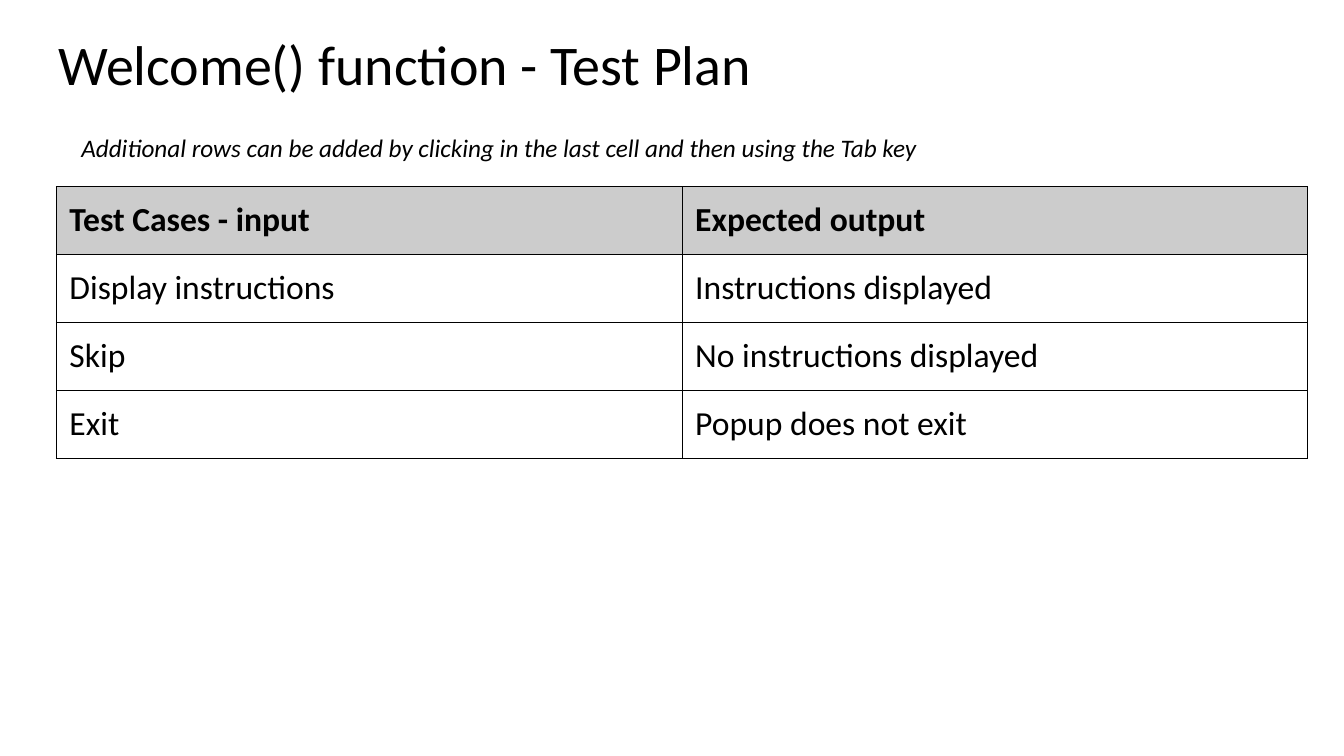
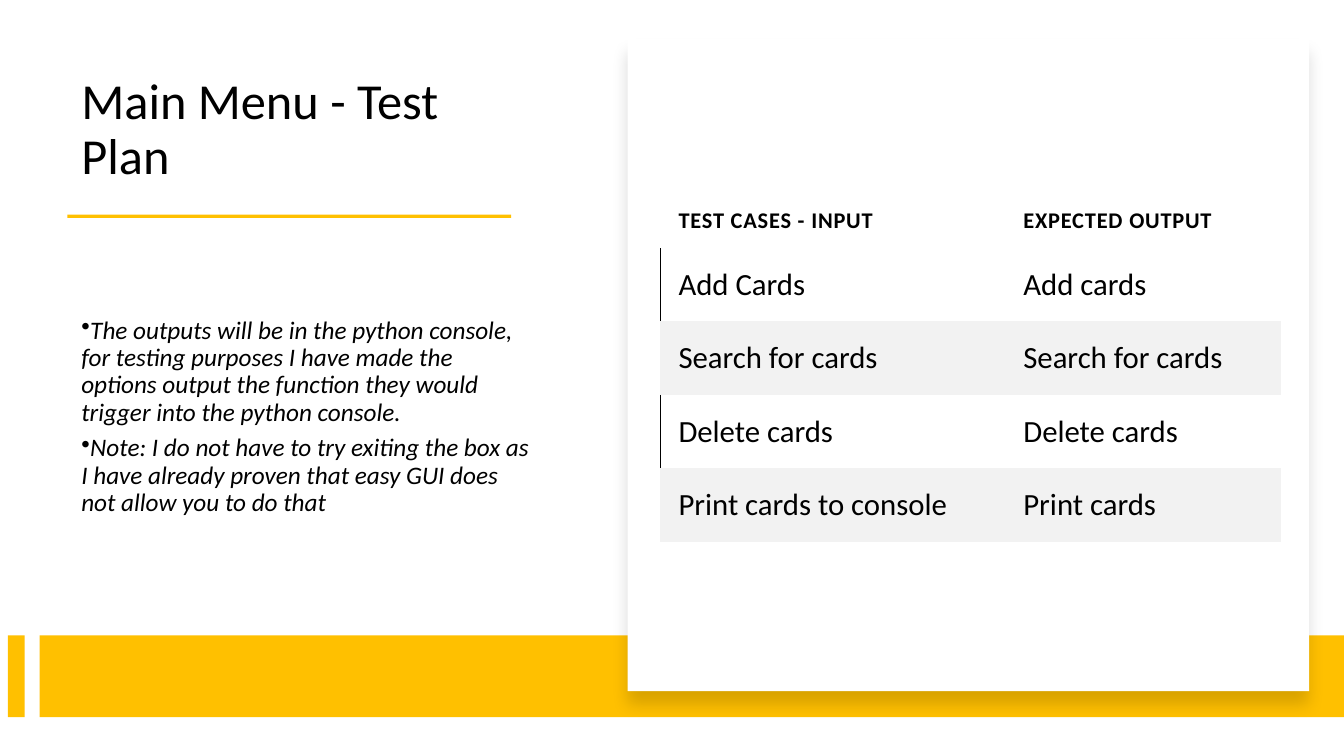
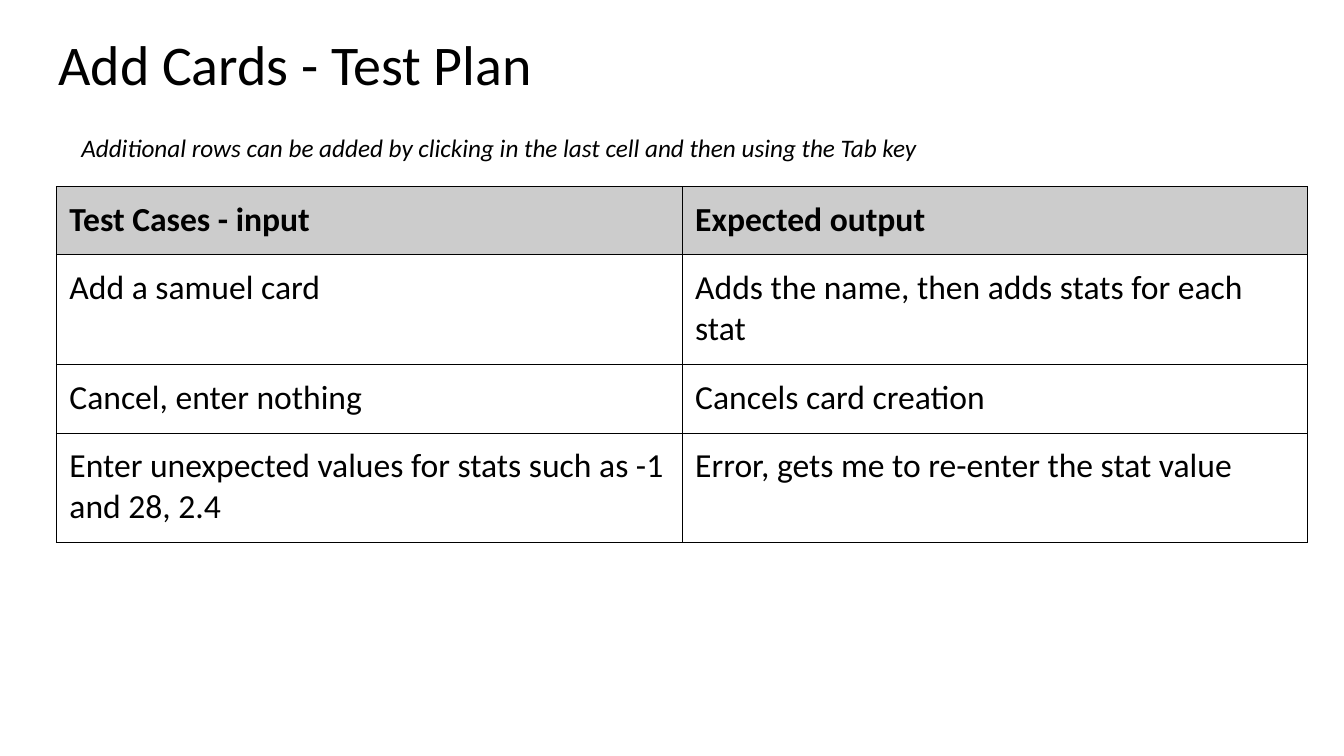
from dataclasses import dataclass

from lxml import etree
from pptx import Presentation
from pptx.dml.color import RGBColor
from pptx.enum.shapes import MSO_SHAPE
from pptx.enum.text import MSO_ANCHOR, MSO_AUTO_SIZE, PP_ALIGN
from pptx.oxml.ns import qn
from pptx.util import Cm, Pt

RECTANGLE = MSO_SHAPE.RECTANGLE
TOP, MIDDLE, BOTTOM = MSO_ANCHOR.TOP, MSO_ANCHOR.MIDDLE, MSO_ANCHOR.BOTTOM
LEFT = PP_ALIGN.LEFT
NO_AUTOFIT = MSO_AUTO_SIZE.NONE
TITLE_ONLY = 5


@dataclass(frozen=True)
class Theme:
    font: str = "Calibri"
    ink: str = "000000"
    paper: str = "FFFFFF"
    accent: str = "FFC000"
    header: str = "CCCCCC"
    stripe: str = "F2F2F2"
    note_size: int = 18


@dataclass(frozen=True)
class PlanStyle:
    """Places and formats of one kind of test plan slide; lengths in cm."""
    title_box: tuple
    title_size: int
    title_inset: tuple
    title_anchor: int
    note_box: tuple
    note_anchor: int
    note_format: dict
    table_corner: tuple
    columns: tuple
    header_size: int
    body_size: int
    header_spacing: float
    header_anchor: int
    cell_side: float
    body_top: float


THEME = Theme()
CELL_INSET = 0.33

GRID = PlanStyle(
    title_box=(1.14, 0.61, 31.55, 2.13), title_size=40,
    title_inset=(0.33, 0.33), title_anchor=TOP,
    note_box=(1.8, 3.2, 27.8, 1.02), note_anchor=TOP, note_format={},
    table_corner=(1.42, 4.7), columns=(15.77, 15.77),
    header_size=24, body_size=24, header_spacing=0, header_anchor=TOP,
    cell_side=0.33, body_top=0.33)
PANEL = PlanStyle(
    title_box=(1.8, 1.47, 11.85, 3.33), title_size=36,
    title_inset=(0.25, 0.13), title_anchor=BOTTOM,
    note_box=(1.8, 5.64, 11.85, 9.75), note_anchor=MIDDLE,
    note_format={"line_spacing": 0.9, "space_after": 6, "bullet": "•"},
    table_corner=(16.64, 4.75), columns=(8.69, 6.95),
    header_size=16, body_size=22, header_spacing=0.6, header_anchor=BOTTOM,
    cell_side=0.46, body_top=0.46)

ADD_ROWS_NOTE = [
    "Additional rows can be added by clicking in the last cell and then using the Tab key"]
GRID_HEADER = ("Test Cases - input", "Expected output")

# style, title, notes, row heights, table rows
PLANS = [
    (GRID, "Welcome() function - Test Plan", ADD_ROWS_NOTE, [1.71] * 4, [
        GRID_HEADER,
        ("Display instructions", "Instructions displayed"),
        ("Skip", "No instructions displayed"),
        ("Exit", "Popup does not exit")]),
    (PANEL, "Main Menu - Test Plan", [
        "The outputs will be in the python console, for testing purposes I have made the "
        "options output the function they would trigger into the python console.",
        "Note: I do not have to try exiting the box as I have already proven that easy GUI "
        "does not allow you to do that"], [1.5] + [1.85] * 4, [
        ("TEST CASES - INPUT", "EXPECTED OUTPUT"),
        ("Add Cards", "Add cards"),
        ("Search for cards", "Search for cards"),
        ("Delete cards", "Delete cards"),
        ("Print cards to console", "Print cards")]),
    (GRID, "Add Cards - Test Plan", ADD_ROWS_NOTE, [1.72, 2.77] * 2, [
        GRID_HEADER,
        ("Add a samuel card", "Adds the name, then adds stats for each stat"),
        ("Cancel, enter nothing", "Cancels card creation"),
        ("Enter unexpected values for stats such as -1 and 28, 2.4",
         "Error, gets me to re-enter the stat value")]),
]

# left, top, width, height, fill; the white panel comes last and casts a shadow
PANEL_PARTS = [
    (1.7, 5.41, 11.18, 0.08, THEME.accent),
    (0.2, 16.01, 0.42, 2.06, THEME.accent),
    (1, 16.01, 32.87, 2.06, THEME.accent),
    (15.82, 0.99, 17.17, 16.43, THEME.paper),
]


def write(frame, lines, size, bold=False, italic=False, spacing=0,
          line_spacing=None, space_after=None, bullet=None):
    """Fill a text frame with one left-aligned paragraph per line."""
    frame.word_wrap = True
    for index, line in enumerate(lines):
        paragraph = frame.add_paragraph() if index else frame.paragraphs[0]
        paragraph.alignment = LEFT
        if line_spacing:
            paragraph.line_spacing = line_spacing
        if space_after:
            paragraph.space_after = Pt(space_after)
        if bullet:
            properties = paragraph._p.get_or_add_pPr()
            properties.set("marL", "0")
            properties.set("indent", str(-Cm(0.64)))
            etree.SubElement(properties, qn("a:buChar"), char=bullet)
        run = paragraph.add_run()
        run.text = line
        run.font.name = THEME.font
        run.font.size = Pt(size)
        run.font.bold = bold
        run.font.italic = italic
        run.font.color.rgb = RGBColor.from_string(THEME.ink)
        if spacing:
            run._r.get_or_add_rPr().set("spc", str(round(spacing * 100)))


def set_borders(cell, widths):
    """Draw the sides named in widths (L, R, T, B; points) and clear the others."""
    properties = cell._tc.get_or_add_tcPr()
    for side in "LRTB":
        line = etree.SubElement(properties, qn(f"a:ln{side}"))
        if side in widths:
            line.set("w", str(Pt(widths[side])))
            solid = etree.SubElement(line, qn("a:solidFill"))
            etree.SubElement(solid, qn("a:srgbClr"), val=THEME.ink)
        else:
            etree.SubElement(line, qn("a:noFill"))


deck = Presentation()
deck.slide_width, deck.slide_height = Cm(33.87), Cm(19.05)

for style, heading, notes, row_heights, rows in PLANS:
    slide = deck.slides.add_slide(deck.slide_layouts[TITLE_ONLY])

    title = slide.shapes.title
    title.left, title.top, title.width, title.height = map(Cm, style.title_box)
    title_frame = title.text_frame
    title_frame.auto_size = NO_AUTOFIT
    title_frame.vertical_anchor = style.title_anchor
    side_inset, end_inset = map(Cm, style.title_inset)
    title_frame.margin_left = title_frame.margin_right = side_inset
    title_frame.margin_top = title_frame.margin_bottom = end_inset
    write(title_frame, [heading], style.title_size, line_spacing=0.9)

    if style is PANEL:
        for *box, color in PANEL_PARTS:
            part = slide.shapes.add_shape(RECTANGLE, *map(Cm, box))
            part.fill.solid()
            part.fill.fore_color.rgb = RGBColor.from_string(color)
            part.line.fill.background()
            part.shadow.inherit = False
        effects = part._element.spPr.find(qn("a:effectLst"))
        shadow = etree.SubElement(effects, qn("a:outerShdw"), blurRad=str(Pt(11)),
                                  dist=str(Pt(10)), dir="5400000", rotWithShape="0")
        shade = etree.SubElement(shadow, qn("a:srgbClr"), val=THEME.ink)
        etree.SubElement(shade, qn("a:alpha"), val="15000")

    note_frame = slide.shapes.add_textbox(*map(Cm, style.note_box)).text_frame
    note_frame.vertical_anchor = style.note_anchor
    write(note_frame, notes, THEME.note_size, italic=True, **style.note_format)

    table = slide.shapes.add_table(
        len(rows), len(style.columns), *map(Cm, style.table_corner),
        Cm(sum(style.columns)), Cm(sum(row_heights))).table
    table.first_row = table.horz_banding = False
    for column, width in zip(table.columns, style.columns):
        column.width = Cm(width)
    for row_index, (texts, height) in enumerate(zip(rows, row_heights)):
        table.rows[row_index].height = Cm(height)
        is_header = row_index == 0
        is_stripe = not is_header and row_index % 2 == 0
        for column_index, text in enumerate(texts):
            cell = table.cell(row_index, column_index)
            cell.margin_left = cell.margin_right = Cm(style.cell_side)
            cell.margin_top = Cm(CELL_INSET if is_header else style.body_top)
            cell.margin_bottom = Cm(CELL_INSET)
            cell.vertical_anchor = style.header_anchor if is_header else TOP
            if style is GRID:
                borders = dict.fromkeys("LRTB", 0.75)
                fill = THEME.header if is_header else None
            else:
                marked = column_index == 0 and not is_header and not is_stripe
                borders = {"L": 1} if marked else {}
                fill = THEME.stripe if is_stripe else None
            set_borders(cell, borders)
            if fill:
                cell.fill.solid()
                cell.fill.fore_color.rgb = RGBColor.from_string(fill)
            else:
                cell.fill.background()
            write(cell.text_frame, [text],
                  style.header_size if is_header else style.body_size,
                  bold=is_header, spacing=style.header_spacing if is_header else 0)

deck.save("out.pptx")
